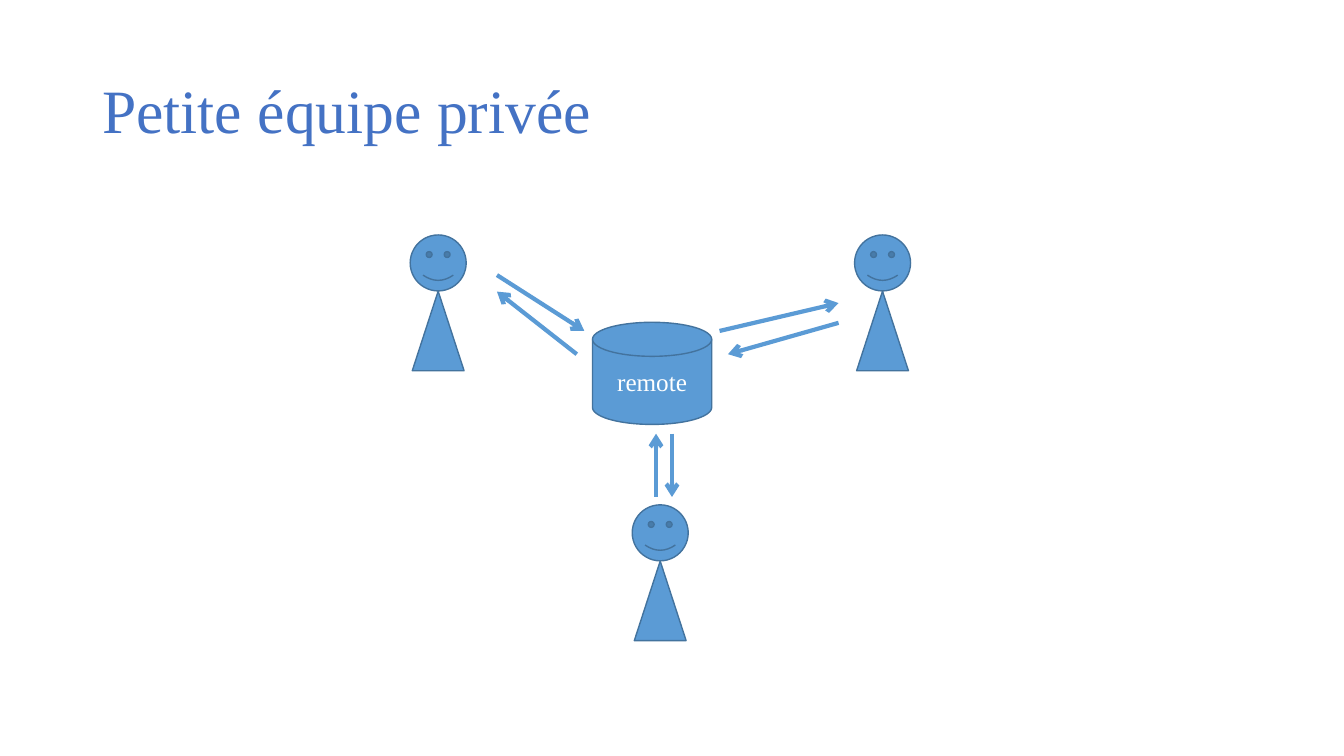
from dataclasses import dataclass
from lxml.etree import SubElement
from pptx import Presentation
from pptx.dml.color import RGBColor
from pptx.enum.shapes import MSO_CONNECTOR as Link, MSO_SHAPE as Kind
from pptx.enum.text import MSO_ANCHOR as Anchor, PP_ALIGN as Align
from pptx.oxml.ns import qn
from pptx.util import Pt

FONT = "Times New Roman"
BLUE, EDGE, TITLE, WHITE = "5B9BD5", "43739E", "4472C4", "FFFFFF"


@dataclass
class Person:
    left: float
    top: float


@dataclass
class Arrow:
    x1: float
    y1: float
    x2: float
    y2: float


PEOPLE = [Person(293, 167.8), Person(451.6, 360.6), Person(610.4, 167.8)]
ARROWS = [
    Arrow(355, 196.5, 417.4, 236.4), Arrow(412, 253, 355, 208.3),
    Arrow(514, 236.4, 599, 216.5), Arrow(599, 230.6, 520, 253),
    Arrow(468.6, 355, 468.6, 309.8), Arrow(480, 309.8, 480, 355),
]


def color(code: str) -> RGBColor:
    return RGBColor.from_string(code)


def add_part(parent, kind: Kind, x: float, y: float, w: float, h: float):
    part = parent.add_shape(kind, Pt(x), Pt(y), Pt(w), Pt(h))
    part.shadow.inherit = False
    part.fill.solid()
    part.fill.fore_color.rgb = color(BLUE)
    part.line.color.rgb = color(EDGE)
    part.line.width = Pt(1)
    return part


def set_text(shape, text: str, size: float, code: str, align: Align) -> None:
    frame = shape.text_frame
    frame.word_wrap = True
    frame.vertical_anchor = Anchor.MIDDLE
    line = frame.paragraphs[0]
    line.text = text
    line.alignment = align
    line.font.name = FONT
    line.font.size = Pt(size)
    line.font.color.rgb = color(code)


def add_person(shapes, person: Person) -> None:
    group = shapes.add_group_shape().shapes
    add_part(group, Kind.SMILEY_FACE, person.left, person.top, 40, 40)
    add_part(group, Kind.ISOSCELES_TRIANGLE,
             person.left + 1.5, person.top + 40.2, 37, 56.8)


def add_arrow(shapes, arrow: Arrow) -> None:
    link = shapes.add_connector(Link.STRAIGHT, Pt(arrow.x1), Pt(arrow.y1),
                                Pt(arrow.x2), Pt(arrow.y2))
    link.line.color.rgb = color(BLUE)
    link.line.width = Pt(3)
    SubElement(link.line._get_or_add_ln(), qn("a:tailEnd"), type="arrow")
    SubElement(link._element.spPr, qn("a:effectLst"))


def main() -> None:
    deck = Presentation()
    deck.slide_width, deck.slide_height = Pt(960), Pt(540)
    shapes = deck.slides.add_slide(deck.slide_layouts[6]).shapes

    # Title
    title = shapes.add_textbox(Pt(66), Pt(28.8), Pt(828), Pt(104.4))
    set_text(title, "Petite équipe privée", 44, TITLE, Align.LEFT)
    title.text_frame.paragraphs[0].line_spacing = 0.9

    # Team members and their exchanges
    for person in PEOPLE:
        add_person(shapes, person)
    for arrow in ARROWS:
        add_arrow(shapes, arrow)

    # Shared store
    store = add_part(shapes, Kind.FLOWCHART_MAGNETIC_DISK,
                     423.2, 230.2, 85.2, 73)
    set_text(store, "remote", 18, WHITE, Align.CENTER)

    deck.save("out.pptx")


if __name__ == "__main__":
    main()
